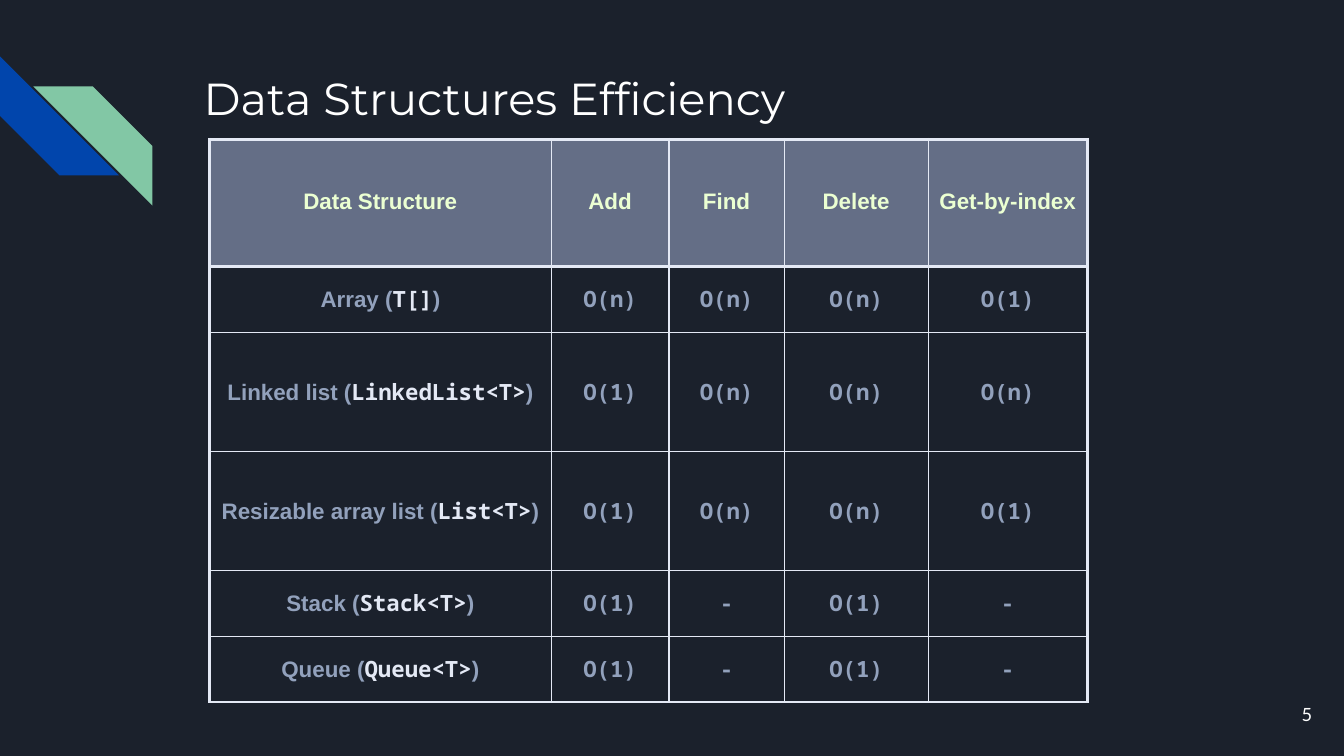
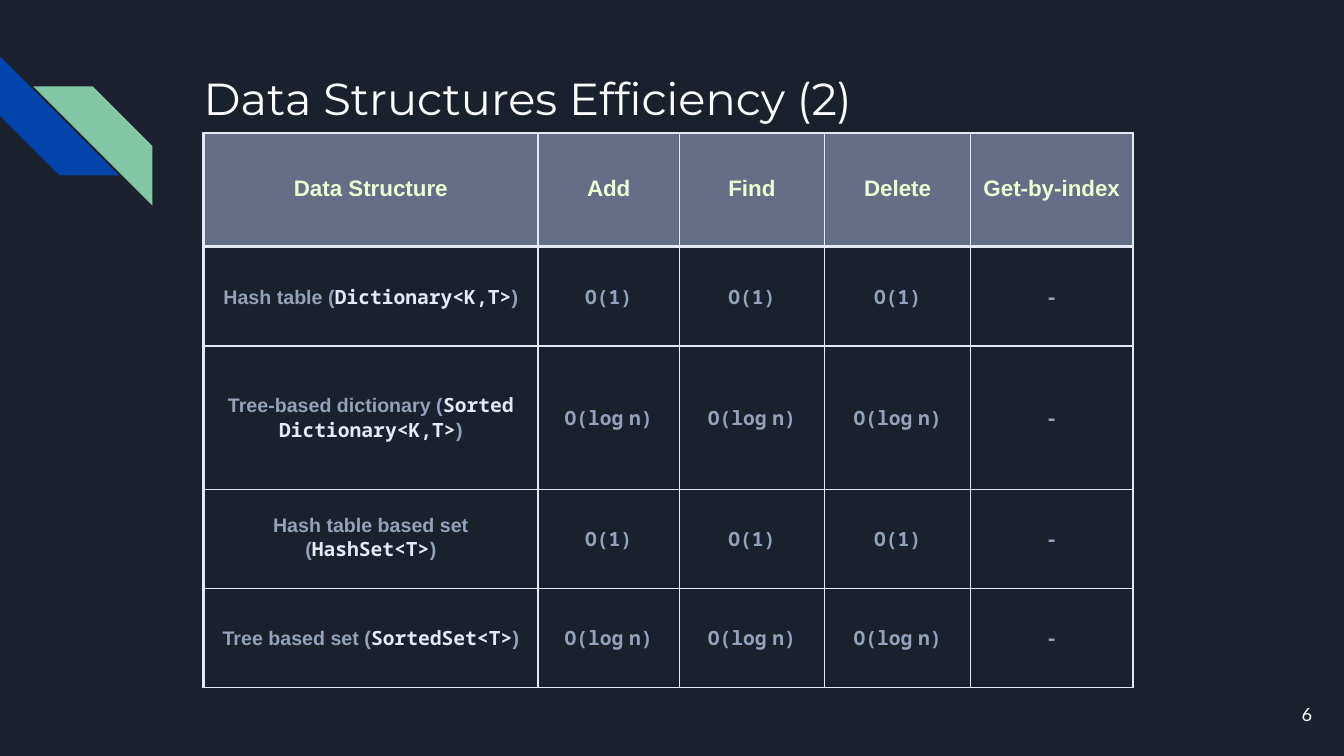
from dataclasses import dataclass

from lxml import etree
from pptx import Presentation
from pptx.dml.color import RGBColor
from pptx.enum.shapes import MSO_SHAPE
from pptx.enum.text import MSO_ANCHOR, PP_ALIGN
from pptx.oxml.ns import qn
from pptx.util import Cm, Pt

STRIPE = MSO_SHAPE.DIAGONAL_STRIPE
TOP, MIDDLE = MSO_ANCHOR.TOP, MSO_ANCHOR.MIDDLE
LEFT, CENTER, RIGHT = PP_ALIGN.LEFT, PP_ALIGN.CENTER, PP_ALIGN.RIGHT

# Content: each first column entry is (label, type name)
HEADERS = ["Data Structure", "Add", "Find", "Delete", "Get-by-index"]
SLIDES = [
    {
        "title": "Data Structures Efficiency",
        "number": "5",
        "at": (5.28, 3.51),
        "cols": [8.61, 2.97, 2.9, 3.63, 4.01],
        "heights": [3.2, 1.66, 3, 3, 1.66, 1.66],
        "thick_lines": {0, 1},
        "size": 16,
        "rows": [
            (("Array", "T[]"), "O(n)", "O(n)", "O(n)", "O(1)"),
            (("Linked list", "LinkedList<T>"), "O(1)", "O(n)", "O(n)", "O(n)"),
            (("Resizable array list", "List<T>"), "O(1)", "O(n)", "O(n)", "O(1)"),
            (("Stack", "Stack<T>"), "O(1)", "-", "O(1)", "-"),
            (("Queue", "Queue<T>"), "O(1)", "-", "O(1)", "-"),
        ],
    },
    {
        "title": "Data Structures Efficiency (2)",
        "number": "6",
        "at": (5.13, 3.35),
        "cols": [8.43, 3.56, 3.66, 3.68, 4.09],
        "heights": [2.87, 2.5, 3.61, 2.5, 2.5],
        "thick_lines": {0, 1, 2},
        "size": 14,
        "rows": [
            (("Hash table", "Dictionary<K,T>"), "O(1)", "O(1)", "O(1)", "-"),
            (("Tree-based dictionary", "Sorted Dictionary<K,T>"),
             "O(log n)", "O(log n)", "O(log n)", "-"),
            (("Hash table based set", "HashSet<T>"), "O(1)", "O(1)", "O(1)", "-"),
            (("Tree based set", "SortedSet<T>"),
             "O(log n)", "O(log n)", "O(log n)", "-"),
        ],
    },
]


@dataclass(frozen=True)
class Theme:
    background: str = "1B212C"
    blue: str = "0145AC"
    green: str = "82C7A5"
    white: str = "FFFFFF"
    header_fill: str = "AEBCE1"
    header_text: str = "EBFFD2"
    muted: str = "92A1BC"
    light: str = "E4E9F5"
    title_font: str = "Montserrat"
    number_font: str = "Lato"
    text_font: str = "Arial"
    code_font: str = "Noto Sans Mono"
    title_size: float = 32
    number_size: float = 13
    header_size: float = 16
    thin: float = 1
    thick: float = 2.25


T = Theme()


def rgb(color):
    return RGBColor.from_string(color)


def put_text(tf, parts, size, bold=False, align=LEFT, spacing=None):
    """Write (text, font, color) parts as the runs of one paragraph."""
    p = tf.paragraphs[0]
    p.alignment = align
    if spacing:
        p.line_spacing = spacing
    for text, font, color in parts:
        r = p.add_run()
        r.text = text
        r.font.name = font
        r.font.size = Pt(size)
        r.font.bold = bold
        r.font.color.rgb = rgb(color)


def set_frame(tf, anchor, inset):
    tf.word_wrap = True
    tf.vertical_anchor = anchor
    tf.margin_left = tf.margin_right = tf.margin_top = tf.margin_bottom = Cm(inset)


def place(shape, left, top, width, height):
    shape.left, shape.top = Cm(left), Cm(top)
    shape.width, shape.height = Cm(width), Cm(height)


# Shared background, stripes and title position
def set_up_layout(prs, layout, s):
    fill = prs.slide_master.background.fill
    fill.solid()
    fill.fore_color.rgb = rgb(T.background)
    place(layout.placeholders[0], 4.8, 1.45, 26.06, 3.38)
    for left, top, color, rotation, flip in (
            (0, 1.42, T.blue, 270, False), (0.84, 2.18, T.green, 0, True)):
        sp = s.shapes.add_shape(STRIPE, Cm(left), Cm(top), Cm(3), Cm(3))
        sp.adjustments[0] = 0.5
        sp.rotation = rotation
        sp.shadow.inherit = False
        sp.fill.solid()
        sp.fill.fore_color.rgb = rgb(color)
        sp.line.fill.background()
        if flip:
            sp.element.spPr.find(qn("a:xfrm")).set("flipH", "1")
        layout.shapes.element.append(sp.element)


def set_borders(tcPr, widths):
    for i, (side, width) in enumerate(zip("LRTB", widths)):
        ln = etree.Element(qn("a:ln" + side), w=str(Pt(width)))
        fill = etree.SubElement(ln, qn("a:solidFill"))
        etree.SubElement(fill, qn("a:srgbClr"), val=T.light)
        tcPr.insert(i, ln)


def cell_parts(value, header):
    if header:
        return [(value, T.text_font, T.header_text)]
    if isinstance(value, tuple):
        label, type_name = value
        return [(label + " (", T.text_font, T.muted),
                (type_name, T.code_font, T.light),
                (")", T.text_font, T.muted)]
    # The gap inside a cost is a narrow one, set in the text font
    return [(part, T.text_font if part == " " else T.code_font, T.muted)
            for part in value.partition(" ") if part]


def add_efficiency_table(s, data):
    cols, heights = data["cols"], data["heights"]
    rows = [HEADERS] + data["rows"]
    left, top = data["at"]
    table = s.shapes.add_table(len(rows), len(cols), Cm(left), Cm(top),
                               Cm(sum(cols)), Cm(sum(heights))).table
    table.first_row = table.horz_banding = False
    for col, width in zip(table.columns, cols):
        col.width = Cm(width)
    v_lines = [T.thick] + [T.thin] * (len(cols) - 1) + [T.thick]
    h_lines = [T.thick if i in data["thick_lines"] else T.thin
               for i in range(len(rows) + 1)]
    for i, (row, values) in enumerate(zip(table.rows, rows)):
        row.height = Cm(heights[i])
        header = i == 0
        for j, value in enumerate(values):
            cell = table.cell(i, j)
            cell.vertical_anchor = MIDDLE
            cell.margin_left = cell.margin_right = Cm(0.1)
            put_text(cell.text_frame, cell_parts(value, header),
                     T.header_size if header else data["size"],
                     bold=True, align=CENTER, spacing=0.95)
            tcPr = cell._tc.get_or_add_tcPr()
            if header:
                cell.fill.solid()
                cell.fill.fore_color.rgb = rgb(T.header_fill)
                color = tcPr.find(qn("a:solidFill")).find(qn("a:srgbClr"))
                etree.SubElement(color, qn("a:alpha"), val="50000")
            else:
                cell.fill.background()
            set_borders(tcPr, v_lines[j:j + 2] + h_lines[i:i + 2])


def add_slide(prs, layout, data):
    s = prs.slides.add_slide(layout)
    tf = s.shapes.title.text_frame
    set_frame(tf, TOP, 0.33)
    put_text(tf, [(data["title"], T.title_font, T.white)], T.title_size)
    # Slide number
    tf = s.shapes.add_textbox(Cm(31.37), Cm(17.27), Cm(2.03), Cm(1.45)).text_frame
    set_frame(tf, MIDDLE, 0.33)
    put_text(tf, [(data["number"], T.number_font, T.white)], T.number_size, align=RIGHT)
    add_efficiency_table(s, data)
    return s


def main():
    prs = Presentation()
    prs.slide_width, prs.slide_height = Cm(33.87), Cm(19.05)
    layout = prs.slide_layouts[5]
    slides = [add_slide(prs, layout, data) for data in SLIDES]
    set_up_layout(prs, layout, slides[0])
    prs.save("out.pptx")


if __name__ == "__main__":
    main()
